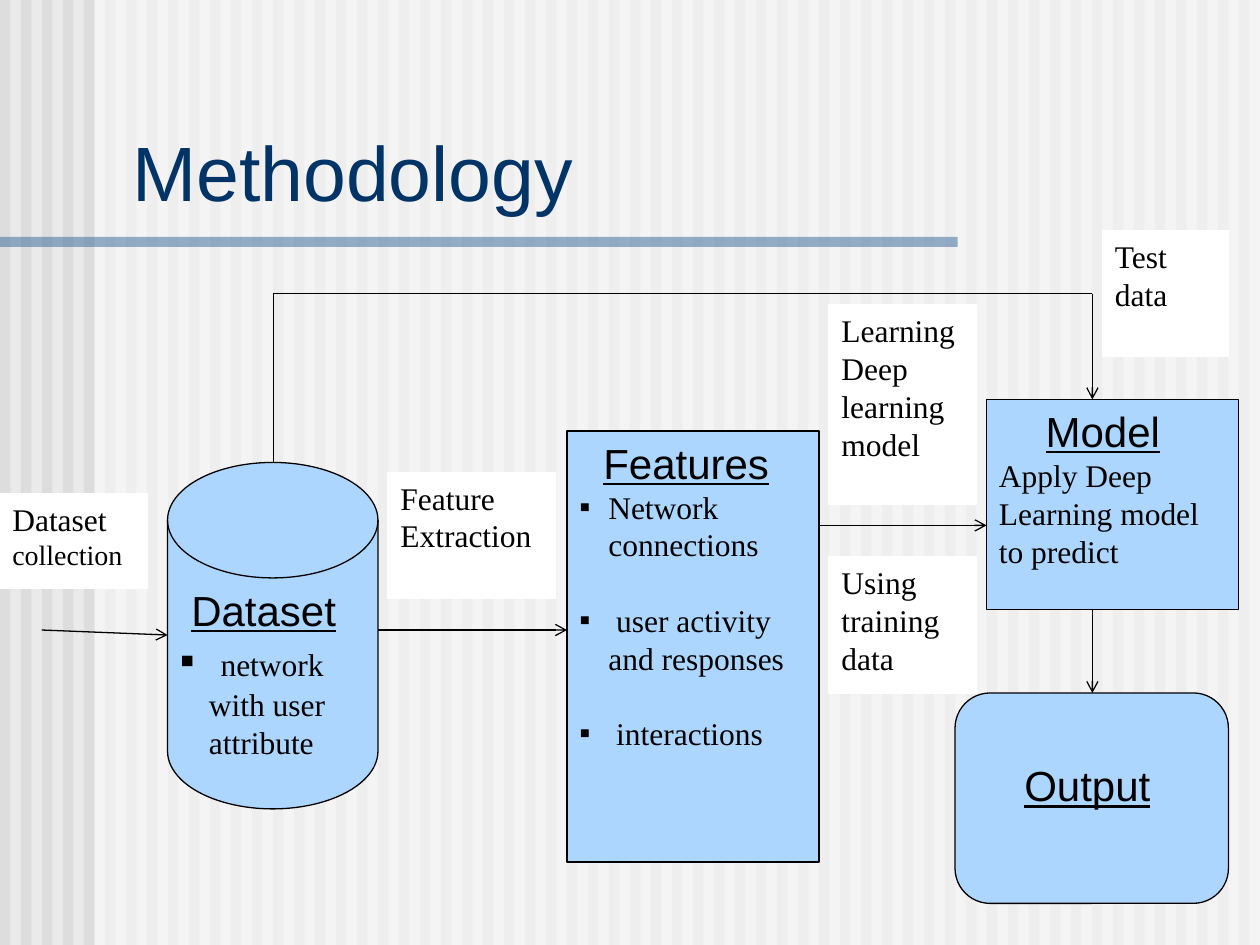
import pptx
import pptx.util
import pptx.dml.color
import pptx.enum.shapes
import pptx.enum.text
import pptx.oxml
import pptx.oxml.ns

Inches = pptx.util.Inches
Pt = pptx.util.Pt
RGBColor = pptx.dml.color.RGBColor
Kind = pptx.enum.shapes.MSO_SHAPE
Anchor = pptx.enum.text.MSO_ANCHOR
Align = pptx.enum.text.PP_ALIGN
qn = pptx.oxml.ns.qn

PAPER = RGBColor(0xEA, 0xEA, 0xEA)
STRIPE = RGBColor(0xDD, 0xDD, 0xDD)
WHITE = RGBColor(0xFF, 0xFF, 0xFF)
BLACK = RGBColor(0, 0, 0)
RULE = RGBColor(0x33, 0x66, 0x99)
NAVY = RGBColor(0x00, 0x33, 0x66)
SKY = RGBColor(0xAD, 0xD6, 0xFF)
SANS, SERIF = "Arial", "Times New Roman"


def add_node(parent, tag, **attrs):
    """Append a DrawingML element with the given attributes."""
    node = parent.makeelement(qn(tag), attrs)
    parent.append(node)
    return node


def add_block(slide, kind, box, fill, line=None, alpha=None):
    """Draw a filled shape in a box, with optional line and alpha."""
    shape = slide.shapes.add_shape(kind, *map(Inches, box))
    shape.shadow.inherit = False
    shape.fill.solid()
    shape.fill.fore_color.rgb = fill
    if alpha:
        color = shape.fill._xPr.find(qn("a:solidFill"))[0]
        add_node(color, "a:alpha", val=str(alpha * 1000))
    if line is None:
        shape.line.fill.background()
    else:
        shape.line.color.rgb = line
        shape.line.width = Pt(0.75)
    return shape


def set_frame(shape, top=0.05):
    """Prepare a shape's text frame for text set from its top left."""
    frame = shape.text_frame
    frame.word_wrap = True
    frame.vertical_anchor = Anchor.TOP
    frame.margin_left = frame.margin_right = Inches(0.1)
    frame.margin_top, frame.margin_bottom = Inches(top), Inches(0.05)
    return frame


def add_para(frame, indent=0, bullet=False, before=0):
    """Return the next left-aligned paragraph of a frame."""
    first = frame.paragraphs[0]
    para = frame.add_paragraph() if first.runs else first
    para.alignment = Align.LEFT
    if before:
        para.space_before = Pt(before)
    props = para._p.get_or_add_pPr()
    props.set("marL", str(Inches(indent)))
    props.set("indent", str(-Inches(indent) if bullet else 0))
    if bullet:
        color = add_node(props, "a:buClr")
        add_node(color, "a:srgbClr", val=str(BLACK))
        add_node(props, "a:buFont", typeface=SANS)
        add_node(props, "a:buChar", char="▪")
    return para


def add_run(para, text, size=18, font=SERIF, color=BLACK, under=False):
    """Add one formatted run to a paragraph."""
    run = para.add_run()
    run.text = text
    run.font.size = Pt(size)
    run.font.name = font
    run.font.color.rgb = color
    run.font.underline = under


def add_stage(slide, kind, box, head, indent, top=0.05):
    """Draw a blue stage with an underlined heading; return its frame."""
    frame = set_frame(add_block(slide, kind, box, SKY, BLACK), top)
    add_run(add_para(frame, indent), head, 24, SANS, under=True)
    return frame


def add_label(slide, box, lines):
    """Draw a white label holding lines of text and size."""
    shape = add_block(slide, Kind.FLOWCHART_PROCESS, box, WHITE, WHITE)
    frame = set_frame(shape)
    for text, size in lines:
        add_run(add_para(frame), text, size)


def add_line(slide, start, end, arrow=True):
    """Draw a thin black line, with an arrowhead at its end if asked."""
    line = slide.shapes.add_connector(
        pptx.enum.shapes.MSO_CONNECTOR.STRAIGHT, *map(Inches, start + end))
    line.line.color.rgb = BLACK
    line.line.width = Pt(0.75)
    if arrow:
        add_node(line.line._get_or_add_ln(), "a:tailEnd", type="arrow")
    add_node(line._element.spPr, "a:effectLst")


def draw_back(slide, width, height):
    """Draw the striped ground, its veil and the title rule."""
    slide.background.fill.solid()
    slide.background.fill.fore_color.rgb = PAPER
    count = 60
    step = width / count
    for i in range(count):
        box = (i * step, 0, step / 2, height)
        add_block(slide, Kind.RECTANGLE, box, STRIPE)
    veil = (0.75, 0, width - 0.75, height)
    add_block(slide, Kind.RECTANGLE, veil, WHITE, alpha=50)
    add_block(slide, Kind.RECTANGLE, (0, 1.88, 7.6, 0.08), RULE, alpha=50)


def draw_title(slide, box):
    """Place the title above the ground in the given box."""
    title = slide.shapes.title
    slide.shapes._spTree.append(title._element)
    title.left, title.top, title.width, title.height = map(Inches, box)
    frame = set_frame(title)
    frame.auto_size = pptx.enum.text.MSO_AUTO_SIZE.NONE
    frame.vertical_anchor = Anchor.BOTTOM
    para = frame.paragraphs[0]
    para.alignment = Align.LEFT
    add_run(para, "Methodology", 44, SANS, NAVY)


def draw_data(slide, box):
    """Draw the dataset store."""
    frame = add_stage(slide, Kind.FLOWCHART_MAGNETIC_DISK, box, "Dataset", 0.09)
    para = add_para(frame, 0.23, True)
    add_run(para, " ", 24, SANS)
    add_run(para, "network with user attribute")


def draw_traits(slide, box):
    """Draw the features stage and its list."""
    frame = add_stage(slide, Kind.FLOWCHART_PROCESS, box, "Features", 0.19)
    items = ("Network connections", " user activity and responses",
             " interactions")
    for i, text in enumerate(items):
        add_run(add_para(frame, 0.23, True, 21.5 if i else 0), text)


def draw_model(slide, box):
    """Draw the model stage."""
    frame = add_stage(slide, Kind.FLOWCHART_PROCESS, box, "Model", 0.37)
    add_run(add_para(frame), "Apply Deep Learning model to predict")


def draw_output(slide, box):
    """Draw the output stage."""
    add_stage(slide, Kind.ROUNDED_RECTANGLE, box, "Output", 0.37, 0.45)


def draw_flow(slide):
    """Draw the arrows that join the stages."""
    add_line(slide, (0.33, 5), (1.33, 5.04))
    add_line(slide, (3, 5), (4.5, 5))
    add_line(slide, (6.5, 4.17), (7.83, 4.17))
    add_line(slide, (8.67, 4.83), (8.67, 5.5))
    add_line(slide, (2.17, 2.33), (2.17, 3.67), False)
    add_line(slide, (8.67, 2.33), (2.17, 2.33), False)
    add_line(slide, (8.67, 2.33), (8.67, 3.17))


def draw_labels(slide):
    """Draw the labels beside the arrows."""
    add_label(slide, (0, 3.92, 1.17, 0.75), [("Dataset", 18), ("collection", 16)])
    add_label(slide, (3.08, 3.75, 1.33, 1), [("Feature", 18), ("Extraction", 18)])
    add_label(slide, (6.58, 2.42, 1.17, 1.58),
              [("Learning", 18), ("Deep", 18), ("learning model", 18)])
    add_label(slide, (6.58, 4.42, 1.17, 1.08), [("Using training", 18), ("data", 18)])
    add_label(slide, (8.75, 1.83, 1, 1), [("Test data", 18)])


def main():
    """Build and save the slide."""
    deck = pptx.Presentation()
    deck.slide_width, deck.slide_height = Inches(10), Inches(7.5)
    slide = deck.slides.add_slide(deck.slide_layouts[5])
    draw_back(slide, 10, 7.5)
    draw_title(slide, (0.95, 0.58, 8.93, 1.19))
    draw_data(slide, (1.33, 3.67, 1.67, 2.75))
    draw_traits(slide, (4.5, 3.42, 2, 3.42))
    draw_model(slide, (7.83, 3.17, 2, 1.67))
    draw_output(slide, (7.58, 5.5, 2.17, 1.67))
    draw_flow(slide)
    draw_labels(slide)
    deck.save("out.pptx")


if __name__ == "__main__":
    main()
